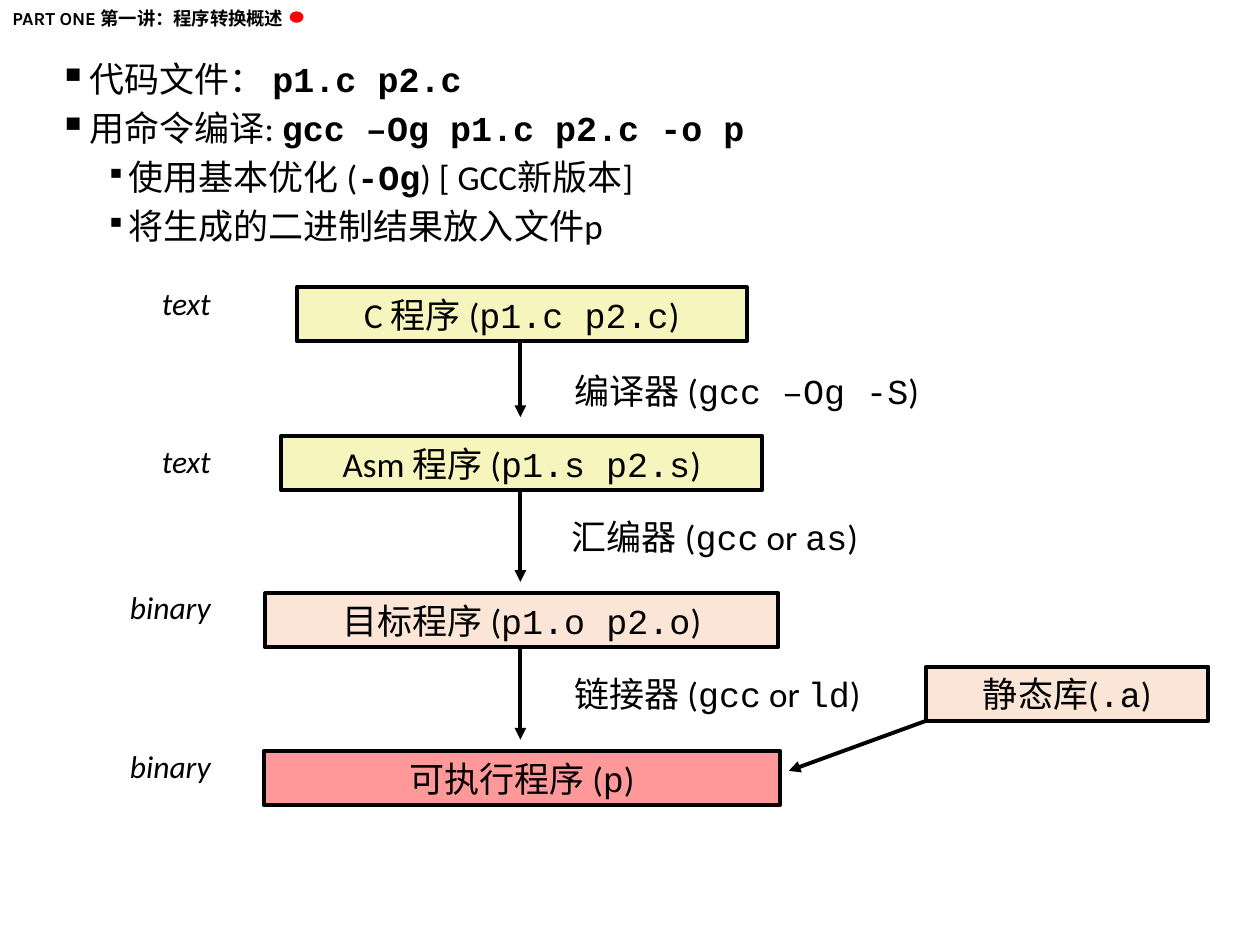
from dataclasses import dataclass

from lxml import etree
from pptx import Presentation
from pptx import util as u
from pptx.dml.color import RGBColor
from pptx.enum import shapes, text
from pptx.oxml import ns

BLACK = "000000"
CENTRE = 10.52
ARROW_X = 10.49
BOX_HEIGHT = 1.09
KIND_RIGHT = 4.5


@dataclass
class Stage:
    label: str
    top: float
    width: float
    fill: str
    kind: str
    kind_top: float


@dataclass
class Step:
    label: str
    left: float
    top: float
    arrow_end: float


@dataclass
class Bullet:
    label: str
    margin: float
    hanging: float
    size: int


STAGES = [
    Stage("C 程序 (`p1.c p2.c`)", 5.79, 9.07, "F6F5BD", "text", 5.61),
    Stage("Asm 程序 (`p1.s p2.s`)", 8.79, 9.7, "F6F5BD", "text", 8.79),
    Stage("目标程序 (`p1.o p2.o`)", 11.96, 10.34, "FBE5D6", "binary", 11.73),
    Stage("可执行程序 (`p`)", 15.14, 10.41, "FF9999", "binary", 14.94),
]
STEPS = [
    Step("编译器 (`gcc –Og -S`)", 11.33, 7.32, 8.41),
    Step("汇编器 (`gcc` or `as`)", 11.28, 10.26, 11.73),
    Step("链接器 (`gcc` or `ld`)", 11.33, 13.44, 14.91),
]
BULLETS = [
    Bullet("代码文件： `p1.c p2.c`", 1.55, 0.61, 110),
    Bullet("用命令编译: `gcc –Og p1.c p2.c -o p`", 1.55, 0.61, 110),
    Bullet("使用基本优化 (`-Og`) [ GCC新版本]", 2.34, 0.46, 80),
    Bullet("将生成的二进制结果放入文件p", 2.34, 0.46, 80),
]


def colour(value: str) -> RGBColor:
    return RGBColor.from_string(value)


def write(paragraph, label: str, size: float = 20, font: str = "Calibri",
          bold_code: bool = False) -> None:
    for index, part in enumerate(label.split("`")):
        if not part:
            continue
        is_code = index % 2 == 1
        run = paragraph.add_run()
        run.text = part
        run.font.size = u.Pt(size)
        run.font.name = "Courier New" if is_code else font
        run.font.bold = is_code and bold_code
        run.font.color.rgb = colour(BLACK)


def add_text(slide, left: float, top: float, width: float, height: float, wrap: bool = True):
    shape = slide.shapes.add_textbox(u.Cm(left), u.Cm(top), u.Cm(width), u.Cm(height))
    shape.text_frame.word_wrap = wrap
    return shape.text_frame


def add_box(slide, label: str, left: float, top: float, width: float, fill: str) -> None:
    shape = slide.shapes.add_shape(shapes.MSO_SHAPE.RECTANGLE, u.Cm(left), u.Cm(top),
                                   u.Cm(width), u.Cm(BOX_HEIGHT))
    shape.shadow.inherit = False
    shape.fill.solid()
    shape.fill.fore_color.rgb = colour(fill)
    shape.line.color.rgb = colour(BLACK)
    shape.line.width = u.Pt(2.25)
    paragraph = shape.text_frame.paragraphs[0]
    paragraph.alignment = text.PP_ALIGN.CENTER
    write(paragraph, label)


def add_arrow(slide, start: tuple[float, float], end: tuple[float, float]) -> None:
    connector = slide.shapes.add_connector(shapes.MSO_CONNECTOR.STRAIGHT,
                                           *map(u.Cm, start + end))
    connector.line.color.rgb = colour(BLACK)
    connector.line.width = u.Pt(2.25)
    etree.SubElement(connector.line._get_or_add_ln(), ns.qn("a:tailEnd"), type="triangle")
    etree.SubElement(connector._element.spPr, ns.qn("a:effectLst"))


def add_kind(slide, stage: Stage) -> None:
    width = 2.77
    frame = add_text(slide, KIND_RIGHT - width, stage.kind_top, width, 1.02)
    frame.text = stage.kind
    paragraph = frame.paragraphs[0]
    paragraph.alignment = text.PP_ALIGN.RIGHT
    font = paragraph.runs[0].font
    font.size = u.Pt(18)
    font.name = "Calibri"
    font.italic = True
    font.color.rgb = colour(BLACK)


def add_bullets(slide) -> None:
    frame = add_text(slide, 0, 1.04, 23.09, 4.06)
    for index, bullet in enumerate(BULLETS):
        paragraph = frame.add_paragraph() if index else frame.paragraphs[0]
        properties = paragraph._p.get_or_add_pPr()
        properties.set("marL", str(u.Cm(bullet.margin)))
        properties.set("indent", str(-u.Cm(bullet.hanging)))
        if index:
            paragraph.space_before = u.Pt(4)
        etree.SubElement(properties, ns.qn("a:buSzPct"), val=str(bullet.size * 1000))
        etree.SubElement(properties, ns.qn("a:buChar"), char="▪")
        write(paragraph, bullet.label, bold_code=True)


def add_header(slide) -> None:
    frame = add_text(slide, 0, 0.03, 6.15, 0.71, wrap=False)
    frame.text = "PART ONE 第一讲：程序转换概述"
    font = frame.paragraphs[0].runs[0].font
    font.size = u.Pt(10.5)
    font.name = "Karla"
    font.bold = True
    font.color.rgb = colour(BLACK)
    dot = slide.shapes.add_shape(shapes.MSO_SHAPE.OVAL, u.Cm(5.84), u.Cm(0.23),
                                 u.Cm(0.28), u.Cm(0.23))
    dot.shadow.inherit = False
    dot.fill.solid()
    dot.fill.fore_color.rgb = colour("FF0000")
    dot.line.fill.background()


def main() -> None:
    presentation = Presentation()
    presentation.slide_width = u.Cm(25.4)
    presentation.slide_height = u.Cm(19.05)
    slide = presentation.slides.add_slide(presentation.slide_layouts[6])
    add_header(slide)
    add_bullets(slide)
    for stage in STAGES:
        add_kind(slide, stage)
        add_box(slide, stage.label, CENTRE - stage.width / 2, stage.top, stage.width, stage.fill)
    for stage, step in zip(STAGES, STEPS):
        add_arrow(slide, (ARROW_X, stage.top + BOX_HEIGHT), (ARROW_X, step.arrow_end))
        frame = add_text(slide, step.left, step.top, 8.43, BOX_HEIGHT)
        write(frame.paragraphs[0], step.label)
    add_box(slide, "静态库(`.a`)", 18.67, 13.44, 5.69, "FBE5D6")
    add_arrow(slide, (18.67, 13.44 + BOX_HEIGHT), (15.9, 15.54))
    presentation.save("out.pptx")


if __name__ == "__main__":
    main()
